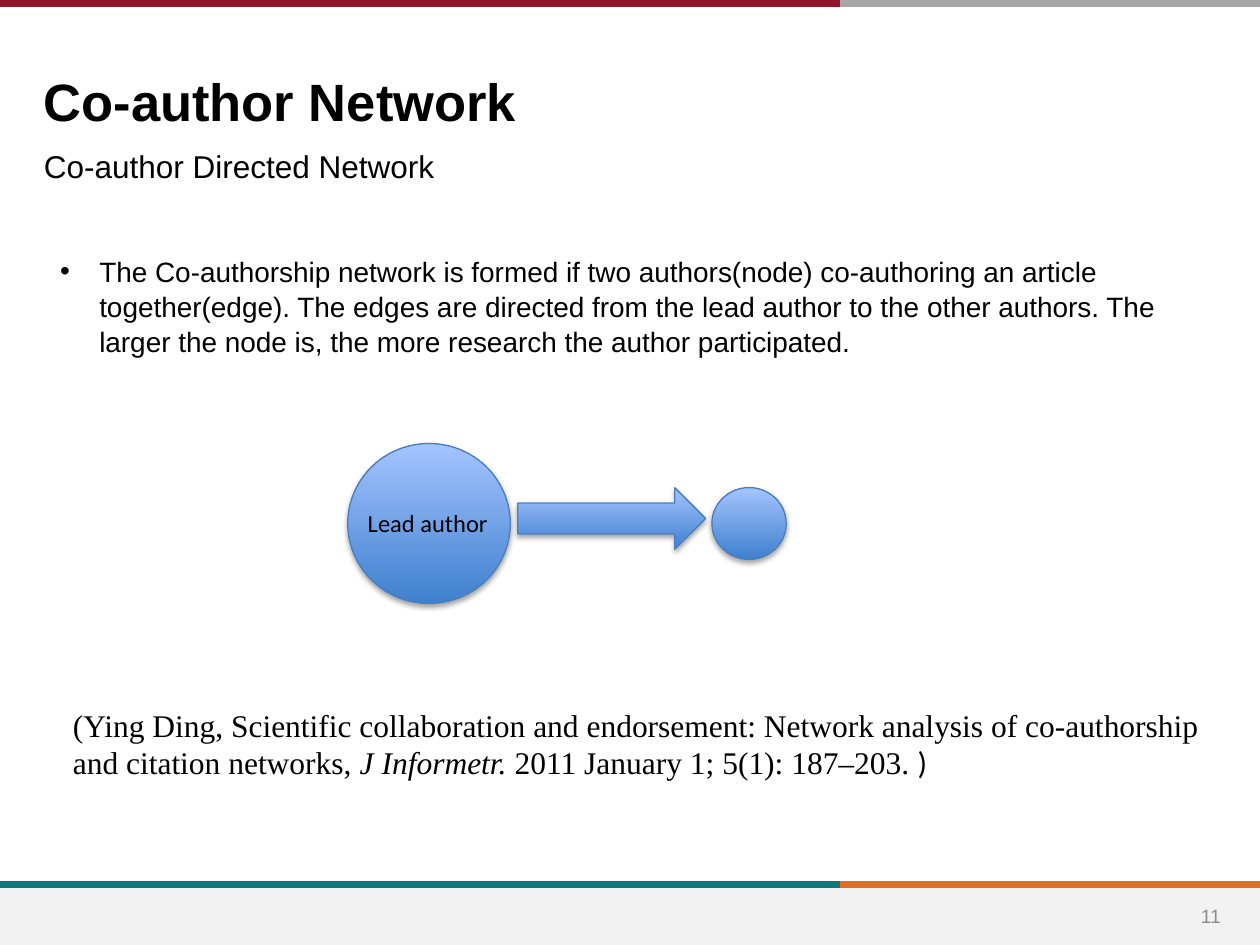
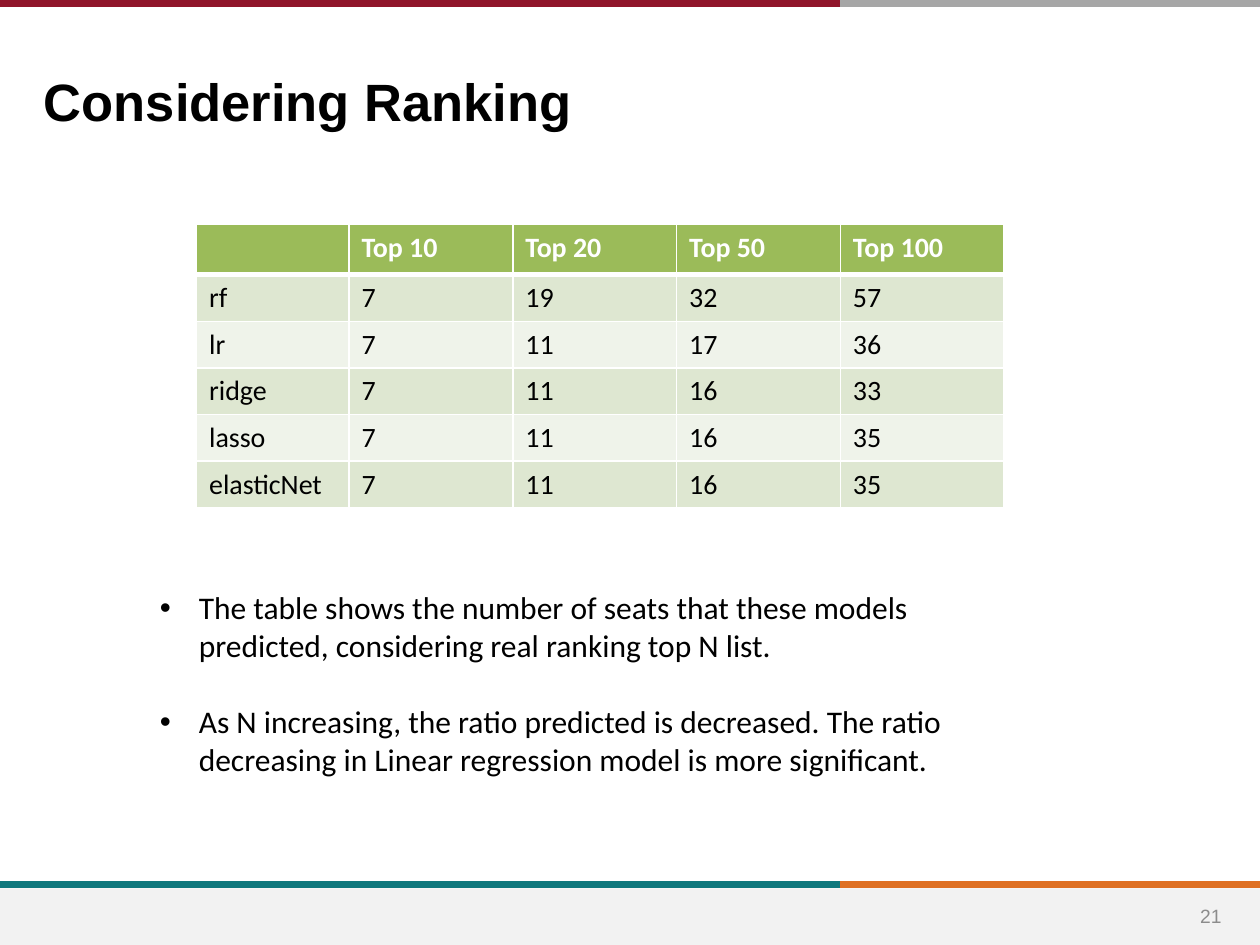
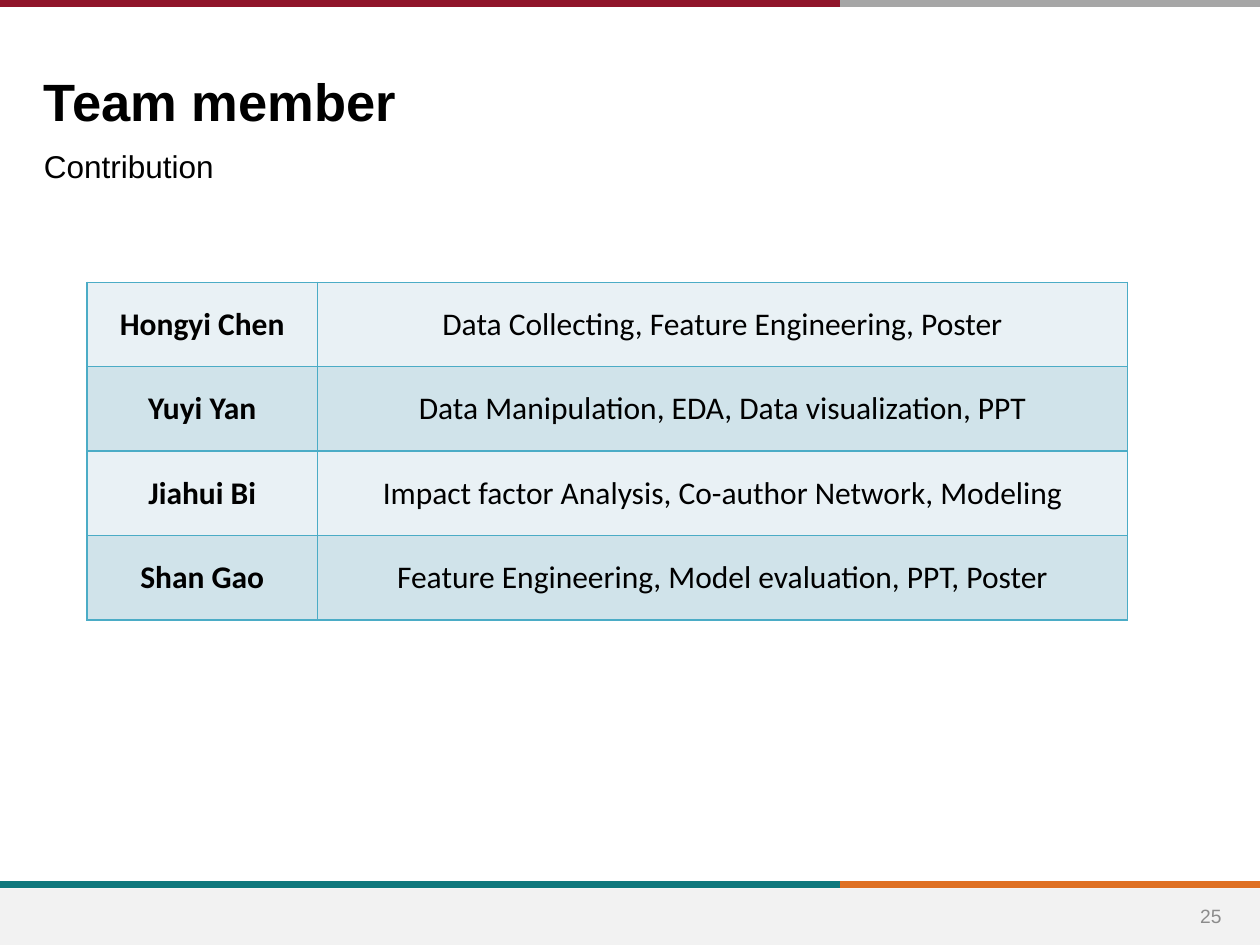
"""Build three project slides: co-author network, ranking table and team contributions."""
from lxml import etree
from pptx import Presentation
from pptx.dml.color import RGBColor
from pptx.enum.shapes import MSO_CONNECTOR, MSO_SHAPE
from pptx.enum.text import MSO_ANCHOR, PP_ALIGN
from pptx.oxml.ns import qn
from pptx.util import Inches, Pt

STRAIGHT = MSO_CONNECTOR.STRAIGHT
RECT, OVAL, ARROW = MSO_SHAPE.RECTANGLE, MSO_SHAPE.OVAL, MSO_SHAPE.RIGHT_ARROW
LEFT, CENTER = PP_ALIGN.LEFT, PP_ALIGN.CENTER
TOP, MIDDLE = MSO_ANCHOR.TOP, MSO_ANCHOR.MIDDLE

BLACK = RGBColor(0x00, 0x00, 0x00)
WHITE = RGBColor(0xFF, 0xFF, 0xFF)
CRIMSON = RGBColor(0x90, 0x15, 0x2A)
GRAY = RGBColor(0xA6, 0xA6, 0xA6)
TEAL = RGBColor(0x0F, 0x78, 0x7D)
ORANGE = RGBColor(0xDF, 0x70, 0x23)
FOOTER = RGBColor(0xF2, 0xF2, 0xF2)
NUMBER = RGBColor(0x8C, 0x8C, 0x8C)
NODE_DARK = RGBColor(0x3F, 0x80, 0xCE)
NODE_LIGHT = RGBColor(0xA4, 0xC4, 0xFF)
NODE_LINE = RGBColor(0x4B, 0x7E, 0xBC)
GREEN = RGBColor(0x9B, 0xBB, 0x59)
GREEN_BANDS = (RGBColor(0xDE, 0xE7, 0xD1), RGBColor(0xEF, 0xF3, 0xEA))
AQUA = RGBColor(0x4B, 0xAC, 0xC6)
AQUA_BANDS = (RGBColor(0xE9, 0xF1, 0xF5), RGBColor(0xD0, 0xE3, 0xEA))

SANS, BODY, SERIF = "Arial", "Calibri", "Times New Roman"
WIDTH, SPLIT = 10, 6.67
BARS = [(7.02, TEAL, ORANGE), (0.03, CRIMSON, GRAY)]

NETWORK_TEXT = (
    "The Co-authorship network is formed if two authors(node) co-authoring an article "
    "together(edge). The edges are directed from the lead author to the other authors. "
    "The larger the node is, the more research the author participated."
)
NETWORK_SHAPES = [
    (OVAL, (2.76, 3.52, 1.29, 1.27)),
    (OVAL, (5.65, 3.87, 0.59, 0.57)),
    (ARROW, (4.11, 3.87, 1.49, 0.49)),
]
CITATION = [
    ("(Ying Ding, Scientific collaboration and endorsement: Network analysis of "
     "co-authorship and citation networks, ", SERIF, False),
    ("J Informetr. ", SERIF, True),
    ("2011 January 1; 5(1): 187–203. ", SERIF, False),
    (")", BODY, False),
]
RANKING = [
    ("", "Top 10", "Top 20", "Top 50", "Top 100"),
    ("rf", "7", "19", "32", "57"),
    ("lr", "7", "11", "17", "36"),
    ("ridge", "7", "11", "16", "33"),
    ("lasso", "7", "11", "16", "35"),
    ("elasticNet", "7", "11", "16", "35"),
]
RANKING_NOTES = [
    "The table shows the number of seats that these models predicted, "
    "considering real ranking top N list.",
    "As N increasing, the ratio predicted is decreased. "
    "The ratio decreasing in Linear regression model is more significant.",
]
TEAM = [
    ("Hongyi Chen", "Data Collecting, Feature Engineering, Poster"),
    ("Yuyi Yan", "Data Manipulation, EDA, Data visualization, PPT"),
    ("Jiahui Bi", "Impact factor Analysis, Co-author Network, Modeling"),
    ("Shan Gao", "Feature Engineering, Model evaluation, PPT, Poster"),
]


def inches(values):
    return [Inches(v) for v in values]


def style_run(r, size, font, color=BLACK, bold=False, italic=False):
    r.font.size, r.font.name = Pt(size), font
    r.font.bold, r.font.italic = bold, italic
    r.font.color.rgb = color


def add_text(s, box, paragraphs, size, font=SANS, color=BLACK, bold=False,
             align=LEFT, anchor=TOP, inset=0.05, wrap=True):
    """Add a text box whose paragraphs are strings or lists of (text, font, italic)."""
    tf = s.shapes.add_textbox(*inches(box)).text_frame
    tf.word_wrap, tf.vertical_anchor, tf.margin_top = wrap, anchor, Inches(inset)
    for i, content in enumerate(paragraphs):
        p = tf.paragraphs[0] if i == 0 else tf.add_paragraph()
        p.alignment = align
        runs = [(content, font, False)] if isinstance(content, str) else content
        for text, run_font, italic in runs:
            r = p.add_run()
            r.text = text
            style_run(r, size, run_font, color, bold, italic)
    return tf


def add_bullets(tf):
    for p in tf.paragraphs:
        pPr = p._p.get_or_add_pPr()
        pPr.set("marL", str(Inches(0.31)))
        pPr.set("indent", str(Inches(-0.31)))
        etree.SubElement(pPr, qn("a:buFont"), typeface=SANS)
        etree.SubElement(pPr, qn("a:buChar"), char="•")


def add_bar(s, y, start, end, color):
    line = s.shapes.add_connector(STRAIGHT, *inches((start, y, end, y)))
    line.line.color.rgb, line.line.width = color, Pt(4)
    etree.SubElement(line._element.spPr, qn("a:effectLst"))


def add_slide(prs, number, title, subtitle=None):
    """Add a blank slide with the shared bars, footer, title and page number."""
    s = prs.slides.add_slide(prs.slide_layouts[6])
    for y, left_color, right_color in BARS:
        add_bar(s, y, SPLIT, WIDTH, right_color)
        add_bar(s, y, 0, SPLIT, left_color)
    footer = s.shapes.add_shape(RECT, *inches((0, 7.05, WIDTH, 0.45)))
    footer.shadow.inherit = False
    footer.fill.solid()
    footer.fill.fore_color.rgb = FOOTER
    footer.line.fill.background()
    add_text(s, (9.35, 7.07, 0.52, 0.4), [str(number)], 11, color=NUMBER,
             align=CENTER, anchor=MIDDLE)
    add_text(s, (0.25, 0.46, 7.99, 0.59), [title], 30, bold=True, inset=0.09)
    if subtitle:
        add_text(s, (0.25, 1.1, 9.51, 0.45), [subtitle], 18, inset=0.07, wrap=False)
    return s


def add_network_shape(s, kind, box):
    sp = s.shapes.add_shape(kind, *inches(box))
    sp.fill.gradient()
    sp.fill.gradient_angle = 90
    for stop, color in zip(sp.fill.gradient_stops, (NODE_DARK, NODE_LIGHT)):
        stop.color.rgb = color
    sp.line.color.rgb, sp.line.width = NODE_LINE, Pt(0.75)
    sp.shadow.inherit = False
    effects = sp._element.spPr.find(qn("a:effectLst"))
    shadow = etree.SubElement(effects, qn("a:outerShdw"), blurRad=str(Pt(3.1)),
                              dist=str(Pt(1.8)), dir="5400000", rotWithShape="0")
    black = etree.SubElement(shadow, qn("a:srgbClr"), val=str(BLACK))
    etree.SubElement(black, qn("a:alpha"), val="35000")


def set_borders(cell, color, bottom):
    tcPr = cell._tc.get_or_add_tcPr()
    for side, width in (("L", 1), ("R", 1), ("T", 1), ("B", bottom)):
        ln = etree.SubElement(tcPr, qn(f"a:ln{side}"), w=str(Pt(width)))
        fill = etree.SubElement(ln, qn("a:solidFill"))
        etree.SubElement(fill, qn("a:srgbClr"), val=str(color))


def add_table(s, origin, widths, heights, rows, bands, border, size,
              header=None, align=LEFT, anchor=TOP, bold_names=False):
    """Add a banded table, with an optional header fill and bold first column."""
    box = (*origin, sum(widths), sum(heights))
    table = s.shapes.add_table(len(rows), len(widths), *inches(box)).table
    table.first_row = table.horz_banding = False
    for column, width in zip(table.columns, widths):
        column.width = Inches(width)
    for i, values in enumerate(rows):
        table.rows[i].height = Inches(heights[i])
        is_header = header is not None and i == 0
        band = bands[(i - (header is not None)) % 2]
        for j, value in enumerate(values):
            cell = table.cell(i, j)
            set_borders(cell, border, 3 if is_header else 1)
            cell.fill.solid()
            cell.fill.fore_color.rgb = header if is_header else band
            cell.vertical_anchor = anchor
            if value:
                cell.text = value
                p = cell.text_frame.paragraphs[0]
                p.alignment = align
                style_run(p.runs[0], size, BODY, WHITE if is_header else BLACK,
                          is_header or (bold_names and j == 0))


def build_network(prs):
    s = add_slide(prs, 11, "Co-author Network", "Co-author Directed Network")
    tf = add_text(s, (0.38, 1.94, 8.94, 1.73), [NETWORK_TEXT], 16, inset=0.07)
    add_bullets(tf)
    tf.paragraphs[0].line_spacing = 1.04
    tf.paragraphs[0].space_after = Pt(12)
    for kind, box in NETWORK_SHAPES:
        add_network_shape(s, kind, box)
    add_text(s, (2.82, 3.98, 1.29, 0.34), ["Lead author"], 14, BODY)
    add_text(s, (0.48, 5.55, 9.17, 0.71), [CITATION], 18)


def build_ranking(prs):
    s = add_slide(prs, 21, "Considering Ranking")
    add_table(s, (1.56, 1.78), [1.21] + [1.3] * 4, [0.4] + [0.37] * 5, RANKING,
              GREEN_BANDS, WHITE, 16, header=GREEN)
    tf = add_text(s, (1.17, 4.62, 7.17, 1.62), RANKING_NOTES, 18, BODY)
    add_bullets(tf)
    tf.paragraphs[1].space_before = Pt(22)


def build_team(prs):
    s = add_slide(prs, 25, "Team member", "Contribution")
    add_table(s, (0.69, 2.24), [1.83, 6.43], [0.67] * 4, TEAM, AQUA_BANDS, AQUA, 18,
              align=CENTER, anchor=MIDDLE, bold_names=True)


def main():
    prs = Presentation()
    prs.slide_width, prs.slide_height = Inches(WIDTH), Inches(7.5)
    build_network(prs)
    build_ranking(prs)
    build_team(prs)
    prs.save("out.pptx")


if __name__ == "__main__":
    main()
